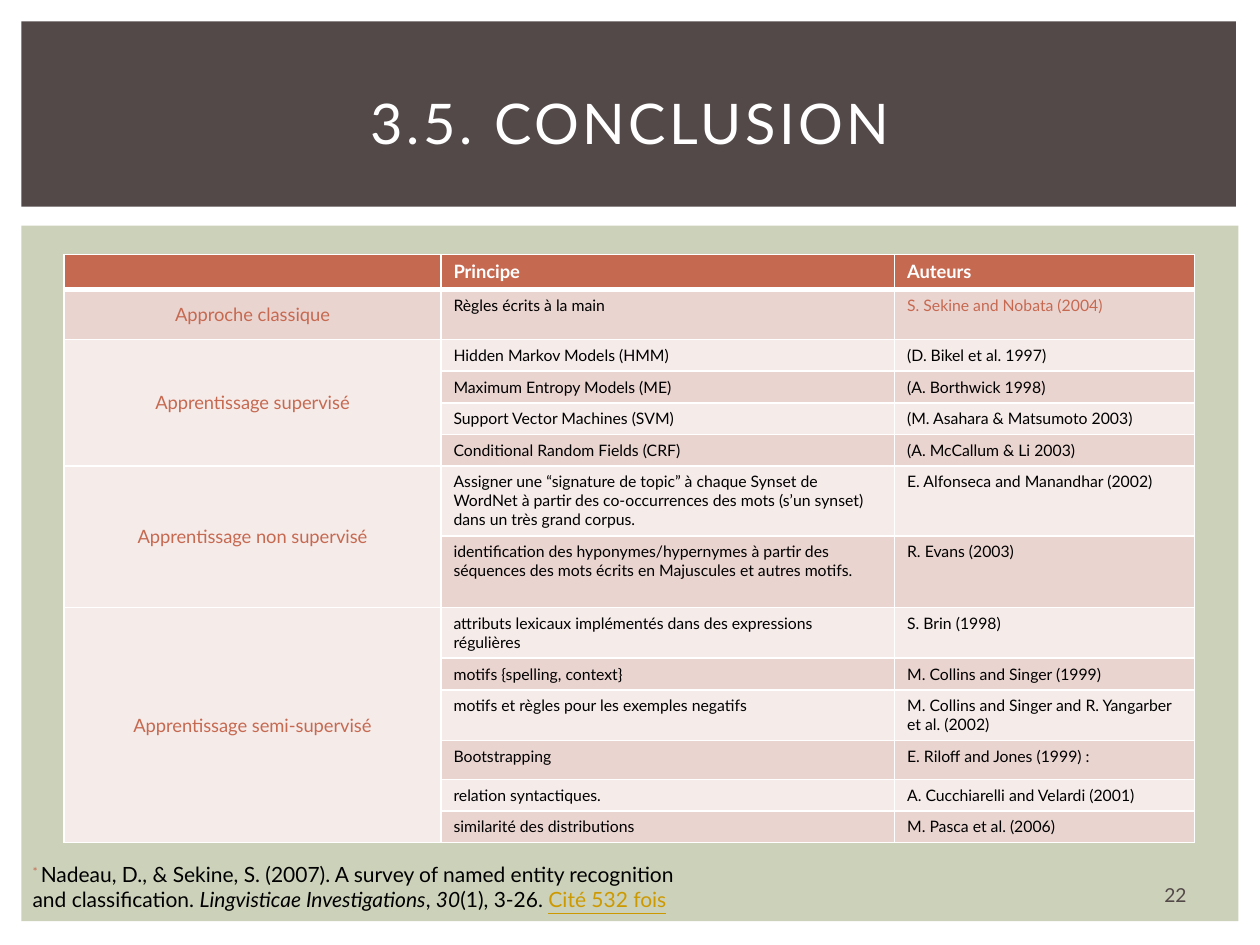
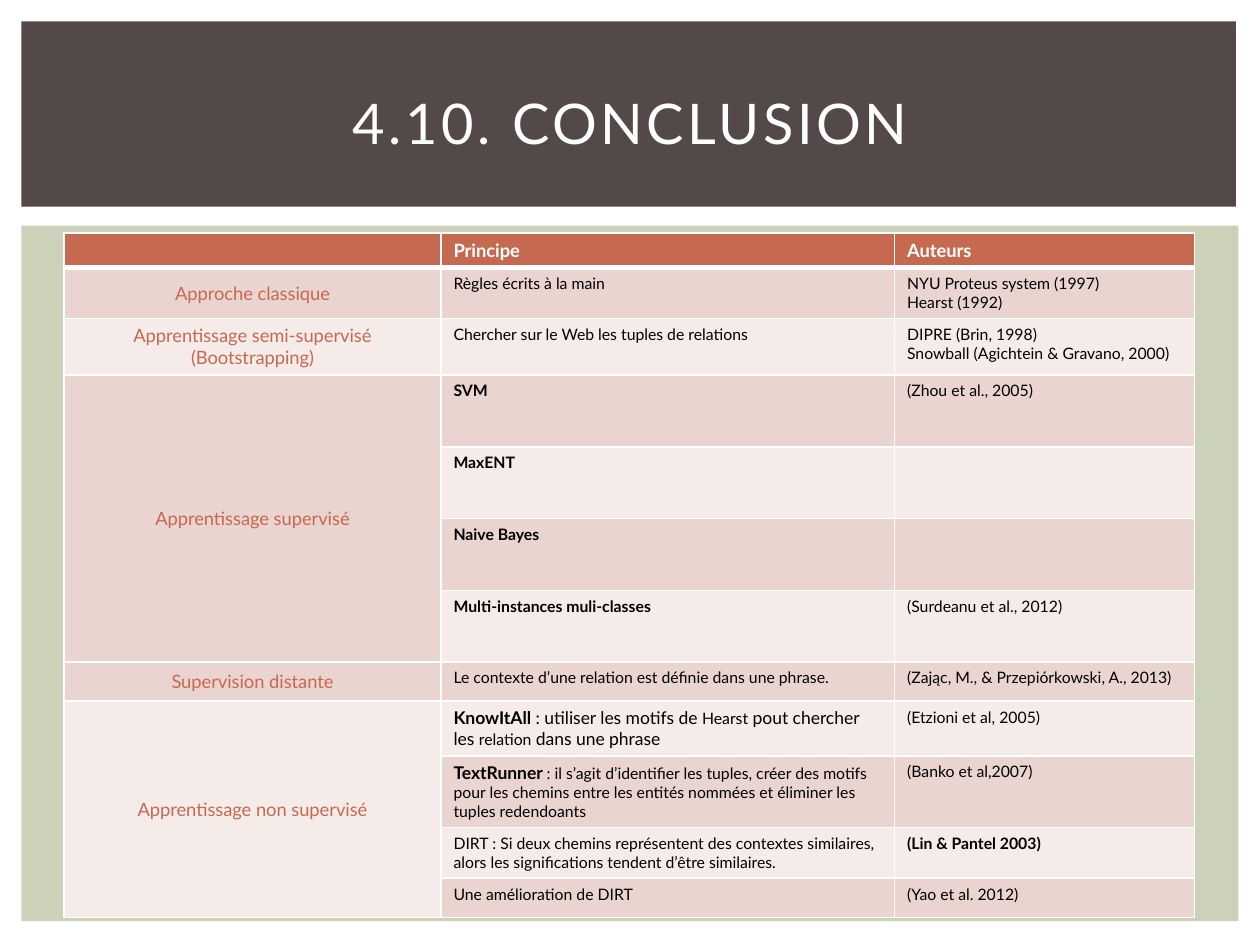
from lxml.etree import SubElement
from pptx import Presentation
from pptx.dml.color import RGBColor
from pptx.enum.shapes import MSO_SHAPE
from pptx.enum.text import MSO_ANCHOR, PP_ALIGN
from pptx.oxml.ns import qn
from pptx.util import Inches, Pt

FONT = "Lato"
WHITE, BLACK = "FFFFFF", "000000"
SAGE, BROWN, RUST = "CCD1B9", "534949", "C66951"
GOLD = "CC9900"
BANDS = ["F5EBE9", "EAD4D0"]
COLS, ROWS = 100, 75
WIDTH, HEIGHT = Inches(10), Inches(7.5)
SHARES = [2.99, 3.6, 2.38]

PANEL = (1.7, 17.9, 96.6, 55.2)
BANNER = (1.7, 1.7, 96.4, 14.7)
TITLE = (4.2, 3.9, 91.7, 11.5)
NUMBER = (90.1, 69.5, 6.4, 3)
NOTE = (1.6, 67.9, 55.2, 5)

HEADS = ["", "Principe", "Auteurs"]

ENTITY = [
    ("Approche classique", [
        ("Règles écrits à la main",
         [("S. Sekine and Nobata (2004)", {"color": RUST})], 4)]),
    ("Apprentissage supervisé", [
        ("Hidden Markov Models (HMM)", "(D. Bikel et al. 1997)", 2.5),
        ("Maximum Entropy Models (ME)", "(A. Borthwick 1998)", 2.5),
        ("Support Vector Machines (SVM)",
         "(M. Asahara & Matsumoto 2003)", 2.5),
        ("Conditional Random Fields (CRF)",
         "(A. McCallum & Li 2003)", 2.5)]),
    ("Apprentissage non supervisé", [
        ("Assigner une “signature de topic” à chaque Synset de WordNet à "
         "partir des co-occurrences des mots (s’un synset) dans un très "
         "grand corpus.", "E. Alfonseca and Manandhar (2002)", 5.55),
        ("identification des hyponymes/hypernymes à partir des séquences "
         "des mots écrits en Majuscules et autres motifs.",
         "R. Evans (2003)", 5.7)]),
    ("Apprentissage semi-supervisé", [
        ("attributs lexicaux implémentés dans des expressions régulières",
         "S. Brin (1998)", 4),
        ("motifs {spelling, context}", "M. Collins and Singer (1999)", 2.5),
        ("motifs et règles pour les exemples negatifs",
         "M. Collins and Singer and R. Yangarber et al. (2002)", 4),
        ("Bootstrapping", "E. Riloff and Jones (1999) :", 3.1),
        ("relation syntactiques.", "A. Cucchiarelli and Velardi (2001)", 2.5),
        ("similarité des distributions", "M. Pasca et al. (2006)", 2.5)]),
]

BOLD = {"bold": True}
BIG = {"size": 10}
LEAD = {"size": 10, "bold": True}
RELATION = [
    ("Approche classique", [
        ("Règles écrits à la main",
         "NYU Proteus system (1997)\nHearst (1992)", 4)]),
    ("Apprentissage semi-supervisé\n(Bootstrapping)", [
        ("Chercher sur le Web les tuples de relations",
         "DIPRE (Brin, 1998)\nSnowball (Agichtein & Gravano, 2000)", 4.5)]),
    ("Apprentissage supervisé", [
        ([("SVM", BOLD)], "(Zhou et al., 2005)", 5.7),
        ([("MaxENT", BOLD)], "", 5.7),
        ([("Naive Bayes", BOLD)], "", 5.7),
        ([("Multi-instances muli-classes", BOLD)],
         "(Surdeanu et al., 2012)", 5.7)]),
    ("Supervision distante", [
        ("Le contexte d’une relation est définie dans une phrase.",
         "(Zając, M., & Przepiórkowski, A., 2013)", 3.1)]),
    ("Apprentissage non supervisé", [
        ([("KnowItAll", LEAD), (" : utiliser les motifs de ", BIG),
          ("Hearst", {}), (" pout chercher les ", BIG), ("relation", {}),
          (" dans une phrase", BIG)], "(Etzioni et al, 2005)", 4.3),
        ([("TextRunner ", LEAD),
          (": il s’agit d’identifier les tuples, créer des motifs pour les "
           "chemins entre les entités nommées et éliminer les tuples "
           "redendoants", {})], "(Banko et al,2007)", 5.7),
        ("DIRT : Si deux chemins représentent des contextes similaires, "
         "alors les significations tendent d’être similaires.",
         [("(Lin & Pantel 2003)", BOLD)], 4),
        ("Une amélioration de DIRT", "(Yao et al. 2012)", 3.1)]),
]

CITE = [
    ("* ", {"color": RUST, "raised": True}),
    ("Nadeau, D., & Sekine, S. (2007). A survey of named entity recognition "
     "and classification. ", {}),
    ("Lingvisticae Investigations", {"italic": True}),
    (", ", {}),
    ("30", {"italic": True}),
    ("(1), 3-26. ", {}),
    ("Cité 532\u00a0fois".replace("\u00a0", " "),
     {"color": GOLD, "underline": True}),
]


def paint(hue):
    return RGBColor.from_string(hue)


def place(box):
    left, top, width, height = box
    return (int(WIDTH * left / COLS), int(HEIGHT * top / ROWS),
            int(WIDTH * width / COLS), int(HEIGHT * height / ROWS))


def style(font, size=None, color=None, bold=None, italic=None,
          underline=None):
    if size:
        font.size = Pt(size)
    if color:
        font.color.rgb = paint(color)
    font.bold, font.italic, font.underline = bold, italic, underline


def write(frame, text, size, color, bold=None, align=PP_ALIGN.LEFT):
    lines = text.split("\n") if isinstance(text, str) else [text]
    for index, line in enumerate(lines):
        para = frame.add_paragraph() if index else frame.paragraphs[0]
        para.alignment = align
        para.font.name = FONT
        style(para.font, size, color, bold)
        if not line:
            end = SubElement(para._p, qn("a:endParaRPr"))
            end.set("sz", str(int(size * 100)))
        for words, look in [(line, {})] if isinstance(line, str) else line:
            if not words:
                continue
            run = para.add_run()
            run.text = words
            look = dict(look)
            if look.pop("raised", False):
                run.font._element.set("baseline", "30000")
            style(run.font, **look)


def label(slide, box, text, size, color, align=PP_ALIGN.LEFT,
          anchor=MSO_ANCHOR.MIDDLE):
    frame = slide.shapes.add_textbox(*place(box)).text_frame
    frame.word_wrap = True
    frame.vertical_anchor = anchor
    write(frame, text, size, color, align=align)
    return frame


def block(slide, box, hue):
    shape = slide.shapes.add_shape(MSO_SHAPE.RECTANGLE, *place(box))
    shape.shadow.inherit = False
    shape.fill.solid()
    shape.fill.fore_color.rgb = paint(hue)
    shape.line.fill.background()


def header(slide, box, title):
    block(slide, PANEL, SAGE)
    block(slide, BANNER, BROWN)
    frame = label(slide, box, title, 32, WHITE, PP_ALIGN.CENTER)
    for run in frame.paragraphs[0].runs:
        run.font._element.set("spc", "200")


def edge(cell, base):
    props = cell._tc.get_or_add_tcPr()
    for side, points in (("L", 1), ("R", 1), ("T", 1), ("B", base)):
        line = SubElement(props, qn("a:ln" + side), w=str(Pt(points)))
        fill = SubElement(line, qn("a:solidFill"))
        SubElement(fill, qn("a:srgbClr"), val=WHITE)


def fill(cell, hue, base=1):
    edge(cell, base)
    cell.fill.solid()
    cell.fill.fore_color.rgb = paint(hue)


def survey(slide, box, groups):
    rows = [(name if not i else "", *entry)
            for name, items in groups for i, entry in enumerate(items)]
    heights = [2.7] + [row[-1] for row in rows]
    area = place((*box, sum(heights)))
    table = slide.shapes.add_table(len(heights), len(SHARES), *area).table
    for column, share in zip(table.columns, SHARES):
        column.width = int(area[2] * share / sum(SHARES))
    for row, height in zip(table.rows, heights):
        row.height = int(HEIGHT * height / ROWS)
    for col, head in enumerate(HEADS):
        cell = table.cell(0, col)
        fill(cell, RUST, 3)
        write(cell.text_frame, head, 10.5, WHITE, True)
    for index, (name, *texts, _) in enumerate(rows, 1):
        for col, text in enumerate([name, *texts]):
            cell = table.cell(index, col)
            fill(cell, BANDS[index % 2])
            if col:
                write(cell.text_frame, text, 9, BLACK, False)
            else:
                cell.vertical_anchor = MSO_ANCHOR.MIDDLE
                write(cell.text_frame, text, 10.5, RUST, False,
                      PP_ALIGN.CENTER)
    start = 1
    for _, items in groups:
        stop = start + len(items) - 1
        if stop > start:
            table.cell(start, 0).merge(table.cell(stop, 0))
        start = stop + 1


def footer(slide, box, page):
    label(slide, box, page, 11, BROWN, PP_ALIGN.CENTER)


def source(slide, box):
    label(slide, box, CITE, 12, BLACK, anchor=MSO_ANCHOR.TOP)


def page(deck, title, top, groups):
    slide = deck.slides.add_slide(deck.slide_layouts[6])
    header(slide, TITLE, title)
    survey(slide, (5.1, top, 89.7), groups)
    return slide


def main():
    deck = Presentation()
    deck.slide_width, deck.slide_height = WIDTH, HEIGHT
    first = page(deck, "3.5. CONCLUSION", 20.2, ENTITY)
    footer(first, NUMBER, "22")
    source(first, NOTE)
    page(deck, "4.10. CONCLUSION", 18.5, RELATION)
    deck.save("out.pptx")


if __name__ == "__main__":
    main()
